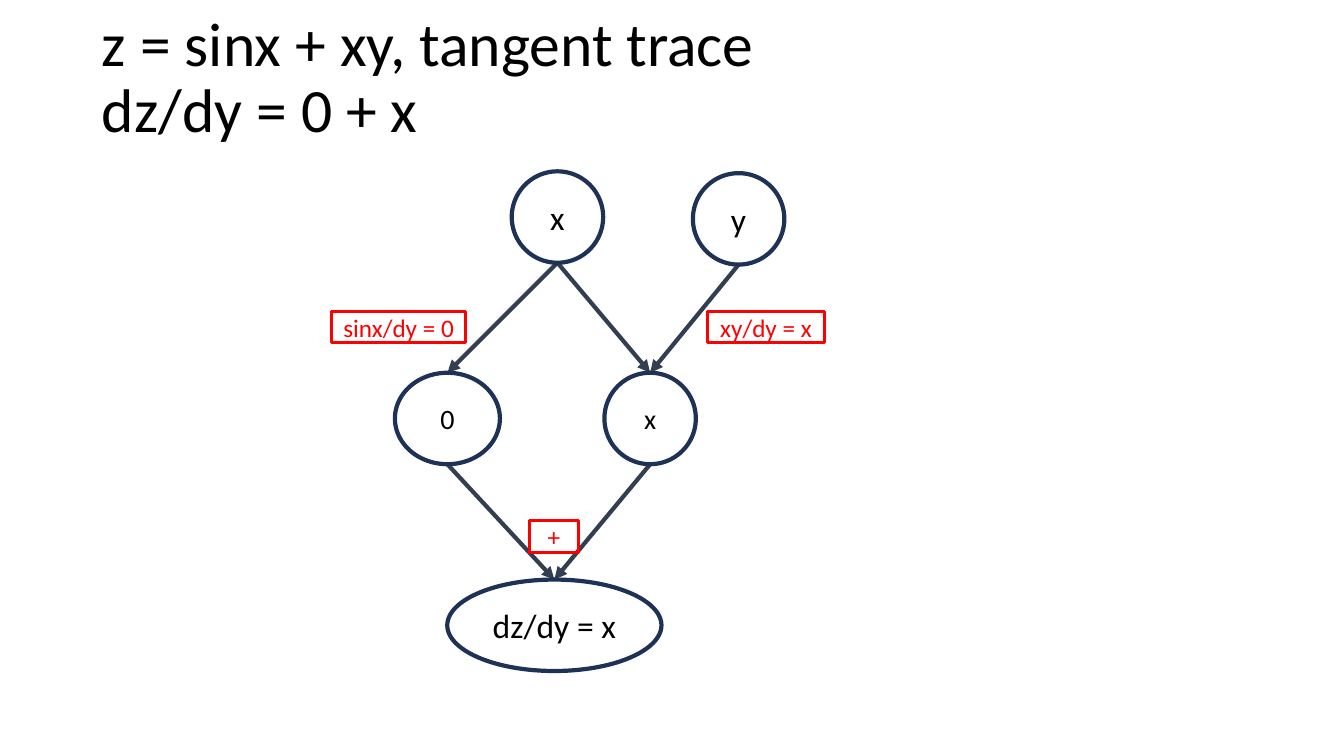
from collections import namedtuple

from lxml import etree
from pptx import Presentation
from pptx.dml.color import RGBColor
from pptx.enum.shapes import MSO_CONNECTOR, MSO_SHAPE
from pptx.enum.text import MSO_ANCHOR, PP_ALIGN
from pptx.oxml.ns import qn
from pptx.util import Pt

ELLIPSE = MSO_SHAPE.OVAL
RECTANGLE = MSO_SHAPE.RECTANGLE
STRAIGHT = MSO_CONNECTOR.STRAIGHT
MIDDLE = MSO_ANCHOR.MIDDLE
CENTER = PP_ALIGN.CENTER

FONT = "Calibri"
BLACK, RED, NAVY, SLATE = "000000", "FF0000", "1E3256", "333F50"
NODE_HEIGHT = 65.3
LABEL_HEIGHT = 22.5

Node = namedtuple("Node", "text center top width size")
NODES = {
    "input x": Node("x", 398.2, 122.4, NODE_HEIGHT, 24),
    "input y": Node("y", 527.6, 123.7, NODE_HEIGHT, 24),
    "sine": Node("0", 319.6, 266.3, 75, 20),
    "product": Node("x", 464.4, 266.3, NODE_HEIGHT, 20),
    "sum": Node("dz/dy = x", 396, 414, 153, 24),
}
EDGES = [
    ("input x", "sine"),
    ("input y", "product"),
    ("input x", "product"),
    ("sine", "sum"),
    ("product", "sum"),
]
# Text, left, top, width
LABELS = [
    ("sinx/dy = 0", 236.7, 222.5, 96),
    ("xy/dy = x", 505.3, 222.5, 83.7),
    ("+", 378, 372, 35.5),
]


def color(hex_string):
    """Turn a hex string into a colour."""
    return RGBColor.from_string(hex_string)


def set_text(text_frame, text, size, text_color):
    """Write one vertically centred paragraph and return it."""
    text_frame.vertical_anchor = MIDDLE
    paragraph = text_frame.paragraphs[0]
    paragraph.text = text
    paragraph.font.name = FONT
    paragraph.font.size = Pt(size)
    paragraph.font.color.rgb = color(text_color)
    return paragraph


def add_title(slide, text):
    """Add the title across the top of the slide."""
    box = slide.shapes.add_textbox(Pt(65.8), Pt(4.5), Pt(828), Pt(104.4))
    box.text_frame.word_wrap = True
    set_text(box.text_frame, text, 44, BLACK).line_spacing = 0.9


def add_outline(slide, kind, bounds, line, text, size, text_color):
    """Add an unfilled shape with centred text; line is (colour, width)."""
    shape = slide.shapes.add_shape(kind, *map(Pt, bounds))
    shape.shadow.inherit = False
    shape.fill.background()
    line_color, line_width = line
    shape.line.color.rgb = color(line_color)
    shape.line.width = Pt(line_width)
    shape.text_frame.word_wrap = False
    set_text(shape.text_frame, text, size, text_color).alignment = CENTER


def add_node(slide, node):
    """Add one ellipse of the graph."""
    bounds = (node.center - node.width / 2, node.top, node.width, NODE_HEIGHT)
    add_outline(slide, ELLIPSE, bounds, (NAVY, 3), node.text, node.size, BLACK)


def add_edge(slide, source, target):
    """Add an arrow from the bottom of one node to the top of another."""
    ends = (source.center, source.top + NODE_HEIGHT, target.center, target.top)
    connector = slide.shapes.add_connector(STRAIGHT, *map(Pt, ends))
    connector.line.color.rgb = color(SLATE)
    connector.line.width = Pt(3)
    line = connector.line._get_or_add_ln()
    etree.SubElement(line, qn("a:tailEnd"), type="triangle")
    etree.SubElement(connector._element.spPr, qn("a:effectLst"))


def add_label(slide, text, left, top, width):
    """Add a red boxed derivative label."""
    bounds = (left, top, width, LABEL_HEIGHT)
    add_outline(slide, RECTANGLE, bounds, (RED, 2.25), text, 18, RED)


def main():
    """Build the tangent trace slide and save it."""
    presentation = Presentation()
    presentation.slide_width = Pt(960)
    presentation.slide_height = Pt(540)
    slide = presentation.slides.add_slide(presentation.slide_layouts[6])

    add_title(slide, "z = sinx + xy, tangent trace\vdz/dy = 0 + x")
    for source, target in EDGES:
        add_edge(slide, NODES[source], NODES[target])
    for node in NODES.values():
        add_node(slide, node)
    for label in LABELS:
        add_label(slide, *label)

    presentation.save("out.pptx")


main()
